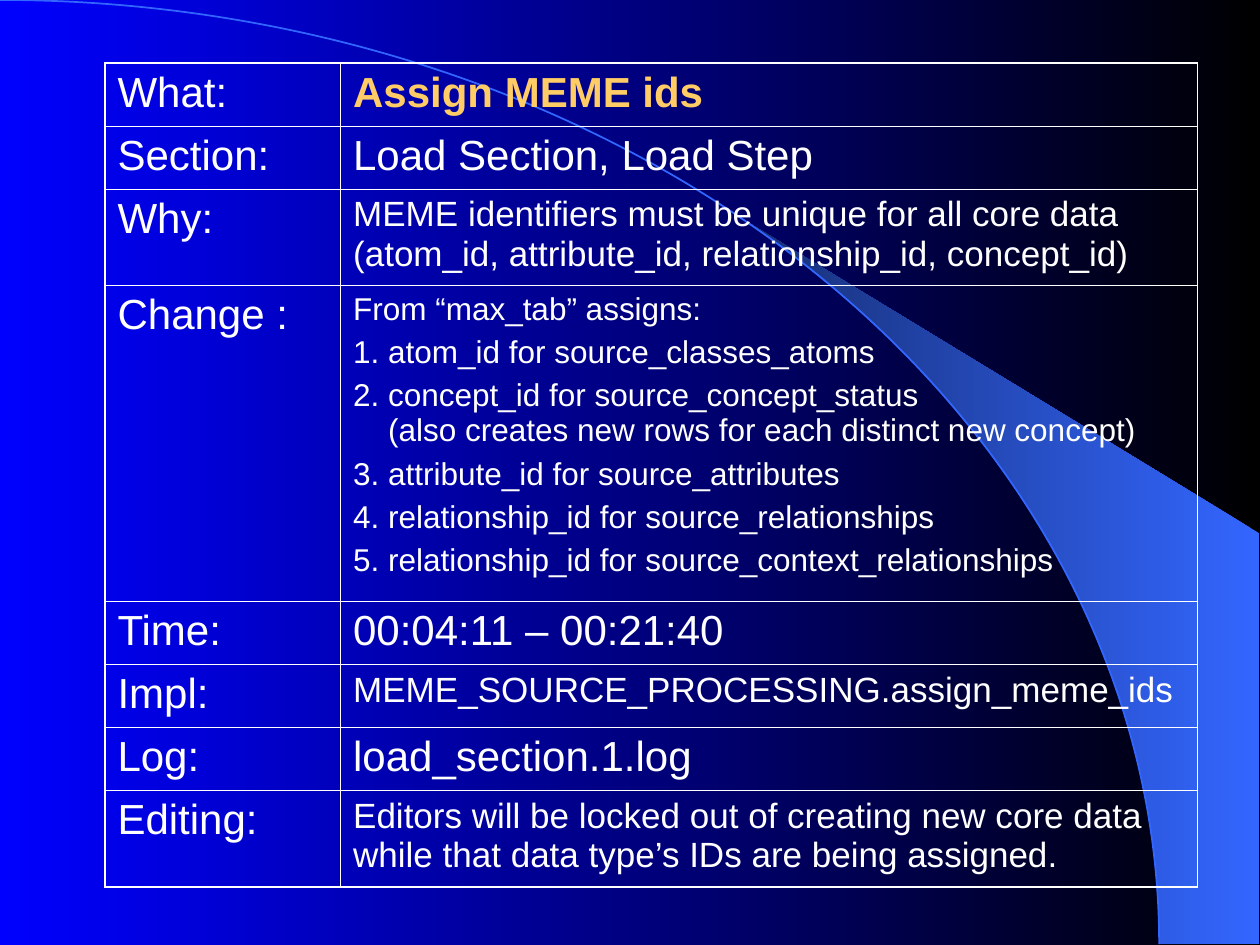
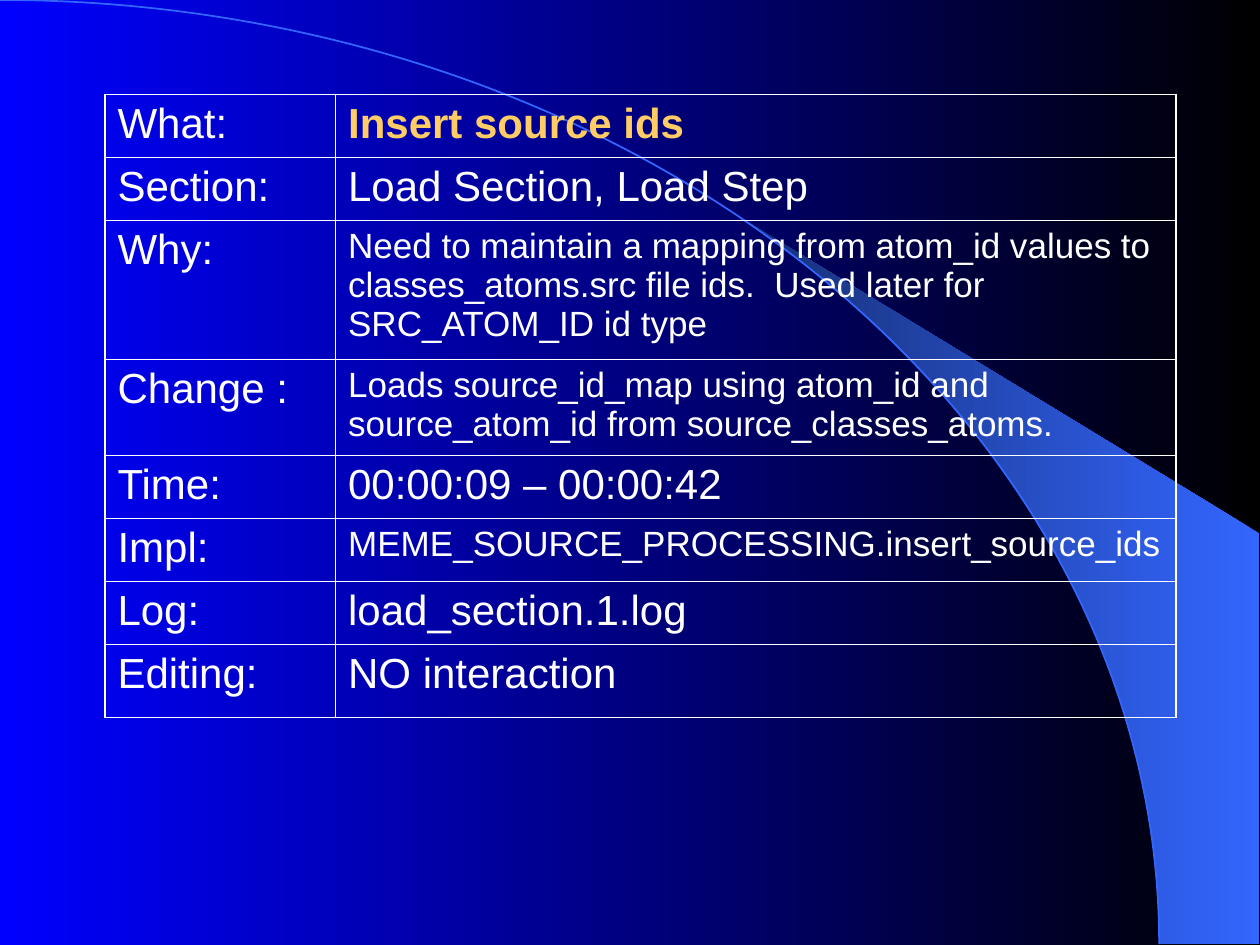
from dataclasses import dataclass
from math import asin, cos, pi, sin

from lxml import etree
from pptx import Presentation
from pptx.dml.color import RGBColor
from pptx.enum.shapes import MSO_SHAPE
from pptx.oxml.ns import qn
from pptx.util import Inches, Pt

ARC = MSO_SHAPE.ARC
WIDTH, HEIGHT = Inches(10), Inches(7.5)
COLUMN, ROW = WIDTH / 100, HEIGHT / 150
LABELS = ("What:", "Section:", "Why:", "Change :", "Time:", "Impl:", "Log:", "Editing:")


@dataclass(frozen=True)
class Theme:
    font: str = "Arial"
    text: str = "FFFFFF"
    accent: str = "FFCC66"
    night: str = "000000"
    blue: str = "0000FF"
    band: str = "3366FF"
    band_dark: str = "172F75"
    large: int = 24
    medium: int = 20
    small: int = 18
    frame: float = 1.08
    rule: float = 0.45
    arc: float = 1.0


THEME = Theme()


@dataclass(frozen=True)
class Answer:
    lines: tuple[str, ...]
    height: float = 10
    size: int = THEME.large
    color: str = THEME.text
    bold: bool = False
    hang: int = 0


@dataclass(frozen=True)
class Sheet:
    top: float
    columns: tuple[float, float]
    answers: tuple[Answer, ...]
    left: float = 8.33


SHEETS = (
    Sheet(10, (18.7, 68), (
        Answer(("Assign MEME ids",), color=THEME.accent, bold=True),
        Answer(("Load Section, Load Step",)),
        Answer(("MEME identifiers must be unique for all core data "
                "(atom_id, attribute_id, relationship_id, concept_id)",), 15.3, THEME.medium),
        Answer(("From “max_tab” assigns:",
                "1. atom_id for source_classes_atoms",
                "2. concept_id for source_concept_status \v"
                "(also creates new rows for each distinct new concept)",
                "3. attribute_id for source_attributes",
                "4. relationship_id for source_relationships",
                "5. relationship_id for source_context_relationships"),
               50.2, THEME.small, hang=20),
        Answer(("00:04:11 – 00:21:40",)),
        Answer(("MEME_SOURCE_PROCESSING.assign_meme_ids",), size=THEME.medium),
        Answer(("load_section.1.log",)),
        Answer(("Editors will be locked out of creating new core data "
                "while that data type’s IDs are being assigned.",), 15.3, THEME.medium),
    )),
    Sheet(15, (18.3, 66.7), (
        Answer(("Insert source ids",), color=THEME.accent, bold=True),
        Answer(("Load Section, Load Step",)),
        Answer(("Need to maintain a mapping from atom_id values to classes_atoms.src "
                "file ids.  Used later for SRC_ATOM_ID id type",), 22, THEME.medium),
        Answer(("Loads source_id_map using atom_id and source_atom_id "
                "from source_classes_atoms.",), 15.3, THEME.medium),
        Answer(("00:00:09 – 00:00:42",)),
        Answer(("MEME_SOURCE_PROCESSING.insert_source_ids",), size=THEME.medium),
        Answer(("load_section.1.log",)),
        Answer(("NO interaction",), 11.6),
    )),
)


def set_gradient(fill, colors: tuple[str, str]) -> None:
    fill.gradient()
    fill.gradient_angle = 180
    for stop, position, color in zip(fill.gradient_stops, (0, 1), colors):
        stop.position = position
        stop.color.rgb = RGBColor.from_string(color)


def draw_backdrop(page) -> None:
    layout = page.slide_layout
    set_gradient(layout.background.fill, (THEME.night, THEME.blue))

    radius_x, radius_y = 0.92 * WIDTH, 0.999 * HEIGHT
    start, steps = asin(0.64), 24
    angles = [start + (pi / 2 - start) * step / steps for step in range(steps + 1)]
    curve = [(radius_x * sin(angle), radius_y * (1 - cos(angle))) for angle in angles]
    edge = 0.999 * WIDTH
    builder = page.shapes.build_freeform(*curve[0])
    builder.add_line_segments(curve[1:] + [(edge, radius_y), (edge, 0.564 * HEIGHT)])
    band = builder.convert_to_shape()
    set_gradient(band.fill, (THEME.band, THEME.band_dark))
    band.line.fill.background()

    arc = page.shapes.add_shape(ARC, int(-radius_x), 0, int(2 * radius_x), int(2 * radius_y))
    arc.fill.background()
    arc.line.color.rgb = RGBColor.from_string(THEME.band)
    arc.line.width = Pt(THEME.arc)

    for shape in (band, arc):
        shape.shadow.inherit = False
        layout.shapes.element.append(shape.element)


def write_cell(cell, answer: Answer) -> None:
    cell.fill.background()
    frame = cell.text_frame
    frame.text = "\n".join(answer.lines)
    font = {"name": THEME.font, "size": Pt(answer.size), "bold": answer.bold}
    for number, para in enumerate(frame.paragraphs):
        para.space_before = Pt(answer.size / 4)
        if answer.hang and number:
            indent = {"marL": Pt(answer.hang), "indent": -Pt(answer.hang)}
            for name, value in indent.items():
                para._p.get_or_add_pPr().set(name, str(value))
        for span in para.runs:
            for name, value in font.items():
                setattr(span.font, name, value)
            span.font.color.rgb = RGBColor.from_string(answer.color)


def draw_borders(cell, outer: dict[str, bool]) -> None:
    properties = cell._tc.get_or_add_tcPr()
    for position, (side, is_outer) in enumerate(outer.items()):
        width = Pt(THEME.frame if is_outer else THEME.rule)
        line = etree.Element(qn(f"a:ln{side}"), w=str(width))
        fill = etree.SubElement(line, qn("a:solidFill"))
        etree.SubElement(fill, qn("a:srgbClr"), val=THEME.text)
        properties.insert(position, line)


def draw_table(page, sheet: Sheet) -> None:
    row_count = len(LABELS)
    height = sum(answer.height for answer in sheet.answers)
    table = page.shapes.add_table(
        row_count, 2, int(sheet.left * COLUMN), int(sheet.top * ROW),
        int(sum(sheet.columns) * COLUMN), int(height * ROW)).table
    table.first_row = table.horz_banding = False
    for column, width in zip(table.columns, sheet.columns):
        column.width = int(width * COLUMN)
    for index, (label, answer) in enumerate(zip(LABELS, sheet.answers)):
        table.rows[index].height = int(answer.height * ROW)
        for side, content in enumerate((Answer((label,)), answer)):
            cell = table.cell(index, side)
            write_cell(cell, content)
            draw_borders(cell, {"L": side == 0, "R": side == 1,
                                "T": index == 0, "B": index == row_count - 1})


def main() -> None:
    deck = Presentation()
    deck.slide_width, deck.slide_height = WIDTH, HEIGHT
    blank = deck.slide_layouts.get_by_name("Blank")
    pages = [deck.slides.add_slide(blank) for sheet in SHEETS]
    draw_backdrop(pages[0])
    for page, sheet in zip(pages, SHEETS):
        draw_table(page, sheet)
    deck.save("out.pptx")


main()
